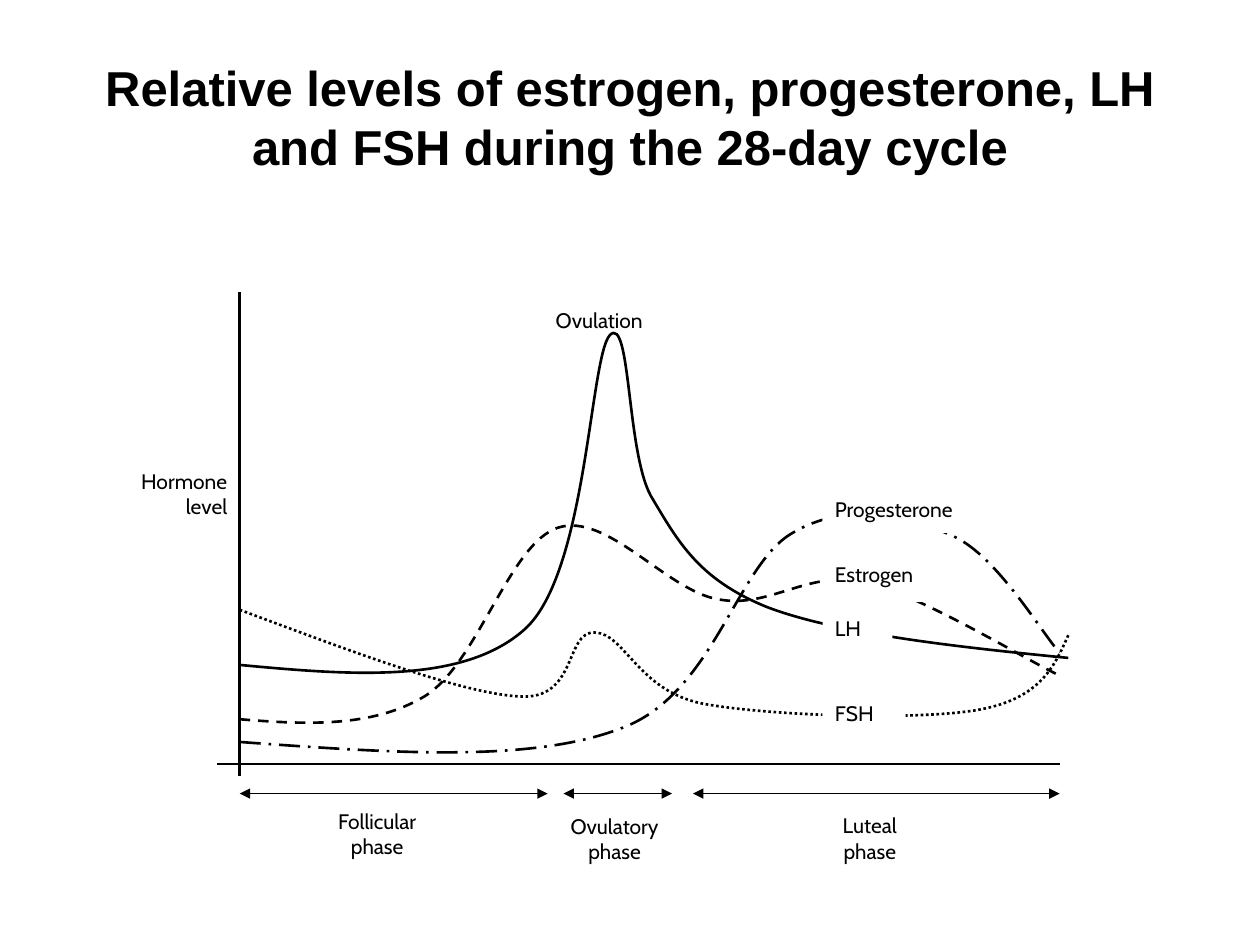
from lxml import etree
from pptx import Presentation
from pptx.dml.color import RGBColor
from pptx.enum.dml import MSO_LINE
from pptx.enum.shapes import MSO_CONNECTOR, MSO_SHAPE
from pptx.enum.text import MSO_ANCHOR, PP_ALIGN
from pptx.oxml.ns import qn
from pptx.util import Pt

COLORS = {"ink": "000000", "paper": "FFFFFF"}
ink = RGBColor.from_string(COLORS["ink"])
paper = RGBColor.from_string(COLORS["paper"])

prs = Presentation()
prs.slide_width, prs.slide_height = Pt(720), Pt(540)
slide = prs.slides.add_slide(prs.slide_layouts[6])
shapes = slide.shapes


def add_label(text, left, top, width, height, align=PP_ALIGN.LEFT):
    label = shapes.add_shape(MSO_SHAPE.RECTANGLE, Pt(left), Pt(top), Pt(width), Pt(height))
    label.shadow.inherit = False
    label.fill.solid()
    label.fill.fore_color.rgb = paper
    label.line.fill.background()
    frame = label.text_frame
    frame.text = text
    frame.vertical_anchor = MSO_ANCHOR.TOP
    for paragraph in frame.paragraphs:
        paragraph.alignment = align
        font = paragraph.runs[0].font
        font.name, font.size, font.color.rgb = "Cabin", Pt(12), ink


def add_line(x1, y1, x2, y2, width):
    line = shapes.add_connector(MSO_CONNECTOR.STRAIGHT, Pt(x1), Pt(y1), Pt(x2), Pt(y2))
    line.line.color.rgb = ink
    line.line.width = Pt(width)
    etree.SubElement(line._element.spPr, qn("a:effectLst"))
    return line


# Title
title = shapes.add_textbox(Pt(36), Pt(21.6), Pt(648), Pt(90)).text_frame
title.word_wrap = True
title.vertical_anchor = MSO_ANCHOR.MIDDLE
title.text = "Relative levels of estrogen, progesterone, LH and FSH during the 28-day cycle"
title.paragraphs[0].alignment = PP_ALIGN.CENTER
title_font = title.paragraphs[0].runs[0].font
title_font.name, title_font.size, title_font.bold = "Arial", Pt(28), True
title_font.color.rgb = ink

# Labels behind the axes and curves
add_label("Ovulation", 310.5, 172, 83, 21.5)
add_label("Hormone\nlevel", 60, 264, 77, 52.5, PP_ALIGN.RIGHT)

# Axes
add_line(137, 167, 137, 443.5, 1.5)
add_line(124, 436.5, 605.5, 436.5, 1.5)

# Hormone curves: a start point, then two handles and an end point per segment
curves = [
    # LH
    (MSO_LINE.SOLID, [
        (137, 380), (201, 386), (265, 391), (300, 359.5),
        (335.5, 327.5), (337, 204.5), (348.5, 191.5),
        (360.5, 179.5), (358, 258), (372, 283.5),
        (387.5, 309.5), (399, 331), (438.5, 347),
        (478, 362), (544.5, 369.5), (610.5, 376)]),
    # Estrogen
    (MSO_LINE.DASH, [
        (137, 411), (174, 414), (212.5, 416), (242.5, 398),
        (273, 379.5), (291, 310.5), (319, 301.5),
        (347, 292.5), (381, 337.5), (410.5, 342.5),
        (440, 348), (461.5, 325.5), (494, 332.5),
        (526.5, 340), (587, 377.5), (605.5, 386)]),
    # Progesterone
    (MSO_LINE.LONG_DASH_DOT, [
        (137, 424), (220.5, 430), (303, 436.5), (355.5, 416),
        (408, 396.5), (421, 322.5), (453, 304.5),
        (484, 286), (520, 295), (545, 306.5),
        (570, 318), (595.5, 362), (605.5, 373)]),
    # FSH
    (MSO_LINE.ROUND_DOT, [
        (137, 348.5), (200, 372), (263, 396), (296.5, 398),
        (330.5, 400.5), (322.5, 360.5), (340, 361.5),
        (357, 362), (364.5, 394.5), (401, 402),
        (437, 409), (525, 412), (560, 405.5),
        (594.5, 399), (602.5, 381), (610.5, 363)]),
]
for dash, points in curves:
    (start_x, start_y), *rest = [(Pt(x), Pt(y)) for x, y in points]
    builder = shapes.build_freeform(start_x, start_y)
    builder.add_line_segments(rest, close=False)
    curve = builder.convert_to_shape()
    curve.shadow.inherit = False
    curve.fill.background()
    curve.line.color.rgb = ink
    curve.line.width = Pt(1.5)
    curve.line.dash_style = dash

    # Turn each three straight segments into one cubic Bézier
    outline = curve._element.spPr.find(".//" + qn("a:path"))
    segments = outline.findall(qn("a:lnTo"))
    for i in range(0, len(segments), 3):
        bezier = etree.SubElement(outline, qn("a:cubicBezTo"))
        for segment in segments[i:i + 3]:
            bezier.append(segment[0])
            outline.remove(segment)

# Phase arrows
for start, end in [(137, 313), (322, 384), (396, 605.5)]:
    outline = add_line(start, 453.5, end, 453.5, 1).line._get_or_add_ln()
    for arrow_end in ("a:headEnd", "a:tailEnd"):
        etree.SubElement(outline, qn(arrow_end), type="triangle")

# Phase names
for phase, left, top, width, height in [
    ("Follicular", 165, 458.5, 101, 39.5),
    ("Ovulatory", 305.5, 461.5, 91.5, 44),
    ("Luteal", 464.5, 461, 65, 46),
]:
    add_label(phase + "\nphase", left, top, width, height, PP_ALIGN.CENTER)

# Curve names, each masking a gap in its curve
for hormone, top, width, height in [
    ("LH", 348.5, 40, 25),
    ("Estrogen", 317.5, 68.5, 26.5),
    ("Progesterone", 280, 100, 24.5),
    ("FSH", 396.5, 47.5, 25),
]:
    add_label(hormone, 470, top, width, height)

prs.save("out.pptx")
